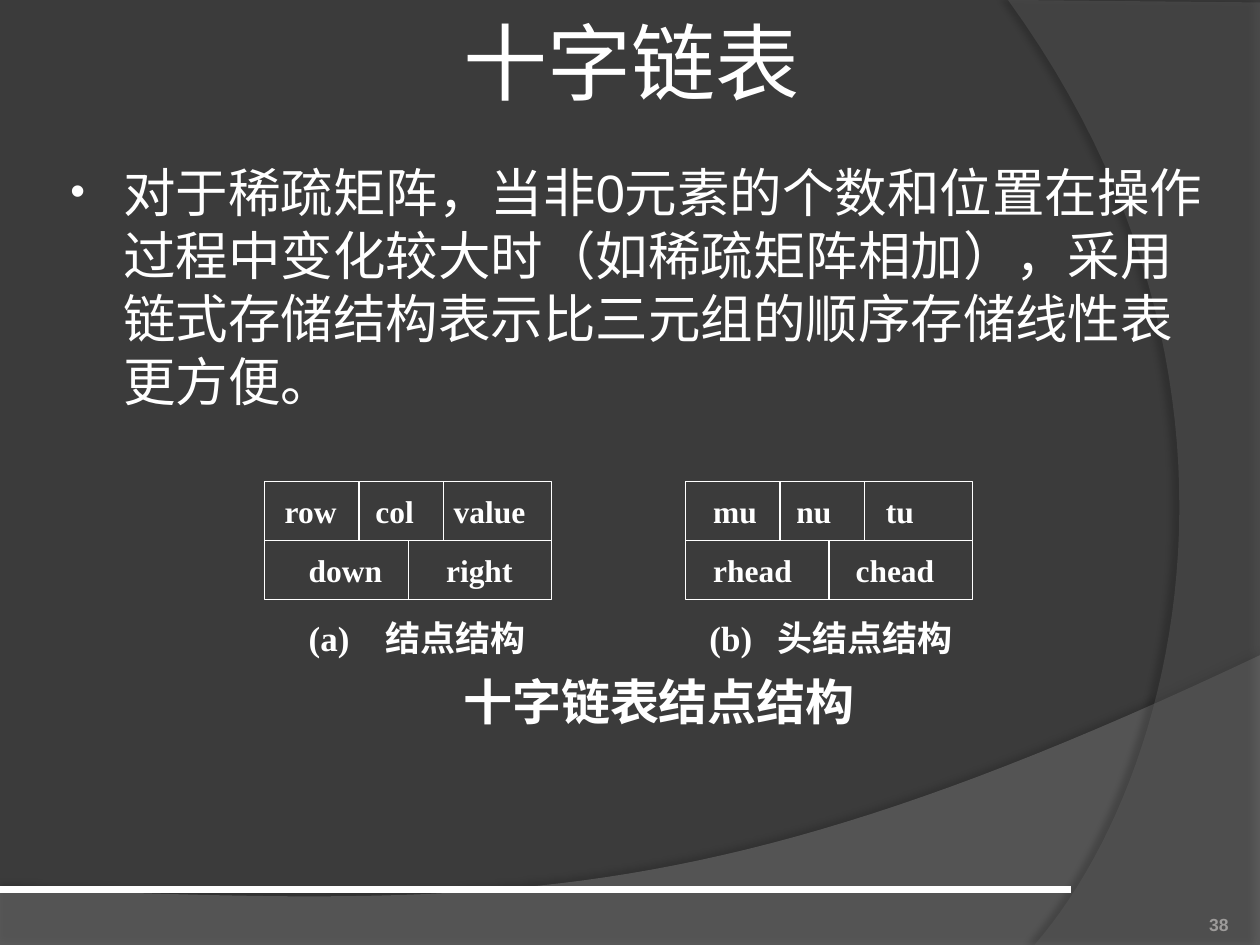
from lxml import etree
from pptx import Presentation
from pptx.dml.color import RGBColor
from pptx.enum.shapes import MSO_CONNECTOR, MSO_SHAPE
from pptx.enum.text import MSO_ANCHOR, PP_ALIGN
from pptx.oxml.ns import qn
from pptx.util import Inches, Pt

LEFT, CENTER, RIGHT = PP_ALIGN.LEFT, PP_ALIGN.CENTER, PP_ALIGN.RIGHT
TOP, MIDDLE, BOTTOM = MSO_ANCHOR.TOP, MSO_ANCHOR.MIDDLE, MSO_ANCHOR.BOTTOM
STRAIGHT, RECT = MSO_CONNECTOR.STRAIGHT, MSO_SHAPE.RECTANGLE
COLORS = {"background": "3B3B3B", "white": "FFFFFF", "number": "9D9B9A",
          "wave": "7F7F7F", "side": "5E5E5E", "shadow": "000000"}
SERIF = "Times New Roman"
NODE_W, ROW_H, NODE_TOP = 2.28, 0.47, 3.82
FIELD_SPLITS = (0.75, 1.42)

# Each row holds (label, offset from the left side of the node).
NODES = [
    (2.1, [("row", 0.16), ("col", 0.88), ("value", 1.5)],
     [("down", 0.35), ("right", 1.44)],
     [("(a)", 0.35), ("结点结构", 0.96)]),
    (5.44, [("mu", 0.22), ("nu", 0.88), ("tu", 1.59)],
     [("rhead", 0.22), ("chead", 1.35)],
     [("(b)", 0.19), ("头结点结构", 0.73)]),
]


def rgb(name):
    return RGBColor.from_string(COLORS[name])


def add_xml(parent, tag, **attrs):
    return etree.SubElement(parent, qn(tag), {k: str(v) for k, v in attrs.items()})


def curve(p0, p1, p2, p3, steps=48):
    """Points along a cubic Bezier curve, without its start."""
    points = []
    for i in range(1, steps + 1):
        t = i / steps
        u = 1 - t
        points.append(tuple(u**3 * a + 3 * u * u * t * b + 3 * u * t * t * c + t**3 * d
                            for a, b, c, d in zip(p0, p1, p2, p3)))
    return points


def add_backdrop(slide, points, color, opacity, shade, distance, direction):
    """Translucent outline with a soft shadow."""
    points = [(Inches(x), Inches(y)) for x, y in points]
    builder = slide.shapes.build_freeform(*points[0])
    builder.add_line_segments(points[1:], close=True)
    sp = builder.convert_to_shape()
    sp.line.fill.background()
    sp.fill.solid()
    sp.fill.fore_color.rgb = rgb(color)
    spPr = sp._element.spPr
    add_xml(spPr.find(".//" + qn("a:srgbClr")), "a:alpha", val=opacity * 1000)
    sp.shadow.inherit = False
    outer = add_xml(spPr.find(qn("a:effectLst")), "a:outerShdw", blurRad=Pt(4),
                    dist=Pt(distance), dir=direction * 60000, rotWithShape=0)
    clr = add_xml(outer, "a:srgbClr", val=COLORS["shadow"])
    add_xml(clr, "a:alpha", val=shade * 1000)


def add_line(slide, x1, y1, x2, y2, width):
    line = slide.shapes.add_connector(STRAIGHT, Inches(x1), Inches(y1), Inches(x2), Inches(y2))
    line.line.color.rgb = rgb("white")
    line.line.width = Pt(width)
    add_xml(line._element.spPr, "a:effectLst")
    return line


def set_text(sp, text, size, font, color="white", bold=False, align=LEFT,
             anchor=MIDDLE, insets=(0.1, 0.05)):
    tf = sp.text_frame
    tf.word_wrap = True
    tf.vertical_anchor = anchor
    tf.margin_left = tf.margin_right = Inches(insets[0])
    tf.margin_top = tf.margin_bottom = Inches(insets[1])
    p = tf.paragraphs[0]
    p.text = text
    p.alignment = align
    p.font.size = Pt(size)
    p.font.name = font
    p.font.bold = bold
    p.font.color.rgb = rgb(color)
    return p


def add_text(slide, box, text, size, font, **style):
    sp = slide.shapes.add_textbox(*map(Inches, box))
    return set_text(sp, text, size, font, **style)


def set_tabbed_text(sp, labels, size):
    """Place each label at its own offset, by left margin and tab stops."""
    start = labels[0][1]
    p = set_text(sp, "\t".join(label for label, _ in labels), size, SERIF,
                 bold=True, insets=(0, 0.05))
    sp.text_frame.margin_left = Inches(start)
    tabs = etree.Element(qn("a:tabLst"))
    for _, offset in labels[1:]:
        add_xml(tabs, "a:tab", pos=Inches(offset - start), algn="l")
    p._p.get_or_add_pPr().insert(0, tabs)


def add_bullet(p):
    pPr = p._p.get_or_add_pPr()
    pPr.set("marL", str(Inches(0.46)))
    pPr.set("indent", str(Inches(-0.42)))
    holder = etree.Element("holder")
    add_xml(add_xml(holder, "a:buClr"), "a:srgbClr", val=COLORS["white"])
    add_xml(holder, "a:buSzPct", val=80000)
    add_xml(holder, "a:buFont", typeface="Arial")
    add_xml(holder, "a:buChar", char="•")
    for i, el in enumerate(list(holder)):
        pPr.insert(i, el)


def add_row(slide, x, y, labels):
    sp = slide.shapes.add_shape(RECT, Inches(x), Inches(y), Inches(NODE_W), Inches(ROW_H))
    sp.shadow.inherit = False
    sp.fill.background()
    sp.line.color.rgb = rgb("white")
    sp.line.width = Pt(0.75)
    set_tabbed_text(sp, labels, 18)
    return sp


def add_node(slide, x, fields, links, caption):
    add_row(slide, x, NODE_TOP, fields)
    for split in FIELD_SPLITS:
        add_line(slide, x + split, NODE_TOP, x + split, NODE_TOP + ROW_H, 0.75)
    y = NODE_TOP + ROW_H
    row = add_row(slide, x, y, links)
    middle = x + NODE_W / 2
    divider = add_line(slide, middle, y, middle, y + ROW_H, 0.75)
    divider.begin_connect(row, 0)
    divider.end_connect(row, 2)
    sp = slide.shapes.add_textbox(Inches(x), Inches(4.85), Inches(NODE_W), Inches(0.42))
    set_tabbed_text(sp, caption, 20)


def main():
    prs = Presentation()
    prs.slide_width, prs.slide_height = Inches(10), Inches(7.5)
    slide = prs.slides.add_slide(prs.slide_layouts[6])
    slide.background.fill.solid()
    slide.background.fill.fore_color.rgb = rgb("background")

    wave = [(0, 7.05), (0, 7.51), (10, 7.51), (10, 5.2)]
    wave += curve((10, 5.2), (5.59, 7.29), (3.91, 7.19), (0, 7.05))[:-1]
    add_backdrop(slide, wave, "wave", 45, 35, 3.5, 270)
    side = [(10, 0.02), (10, 7.5), (8.21, 7.5)]
    side += curve((8.21, 7.5), (9.35, 6.19), (10.18, 3), (8, 0))
    add_backdrop(slide, side, "side", 40, 45, 4, 180)
    add_line(slide, 0, 7.06, 8.5, 7.06, 4.5)

    add_text(slide, (0.93, 0.05, 8.17, 0.86), "十字链表", 48, "Lato",
             align=CENTER, insets=(0.05, 0.05))
    body = add_text(slide, (0.42, 1.22, 9.29, 5.48),
                    "对于稀疏矩阵，当非0元素的个数和位置在操作过程中变化较大时"
                    "（如稀疏矩阵相加），采用链式存储结构表示比三元组的顺序存储线性表更方便。",
                    30, "Arial", anchor=TOP)
    add_bullet(body)
    add_text(slide, (8.92, 7.02, 0.83, 0.4), "38", 10, "Arial", color="number",
             bold=True, align=RIGHT, anchor=BOTTOM, insets=(0, 0))

    add_text(slide, (3.44, 5.35, 3.58, 0.42), "十字链表结点结构", 28, SERIF,
             bold=True, align=CENTER)
    for node in NODES:
        add_node(slide, *node)
    prs.save("out.pptx")


if __name__ == "__main__":
    main()
